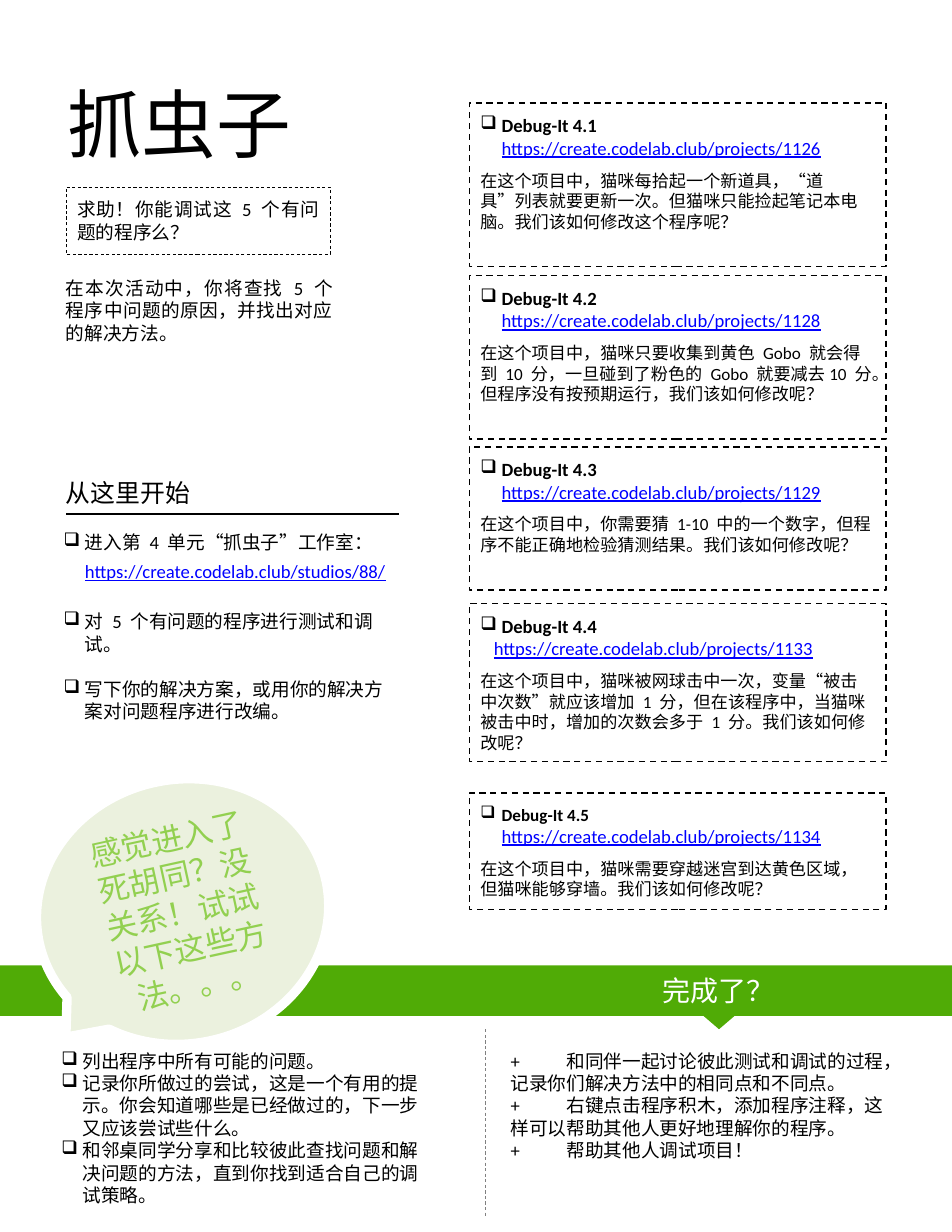
import pptx
import pptx.dml.color
import pptx.enum.dml
import pptx.enum.shapes
import pptx.enum.text
import pptx.oxml.ns
import pptx.util
from lxml import etree

SHAPES = pptx.enum.shapes.MSO_SHAPE
ALIGN = pptx.enum.text.PP_ALIGN
ANCHOR = pptx.enum.text.MSO_ANCHOR
DASH = pptx.enum.dml.MSO_LINE.DASH
qn = pptx.oxml.ns.qn

# The page is a grid of 85 columns by 110 rows
COLUMNS, ROWS = 85, 110
CELL = pptx.util.Inches(0.1)
CARD_COLUMN, CARD_WIDTH = 41.9, 37.2
HANG = 1.9
GREEN = "50AB06"
LINK = {"color": "0000FF", "underline": True}
BOLD = {"bold": True}

DEBUG_URL = "https://create.codelab.club/projects/"
# number, row, height, heading size, project, question
CARDS = [
    ("4.1", 9.2, 14.6, 12, "1126",
     "在这个项目中，猫咪每拾起一个新道具，“道具”列表就要更新一次。但猫咪只能捡起笔记本电脑。我们该如何修改这个程序呢？"),
    ("4.2", 24.6, 14.6, 12, "1128",
     "在这个项目中，猫咪只要收集到黄色 Gobo 就会得到 10 分，一旦碰到了粉色的 Gobo 就要减去10 分。但程序没有按预期运行，我们该如何修改呢？"),
    ("4.3", 39.9, 12.8, 12, "1129",
     "在这个项目中，你需要猜 1-10 中的一个数字，但程序不能正确地检验猜测结果。我们该如何修改呢？"),
    ("4.4", 53.9, 14.1, 12, "1133",
     "在这个项目中，猫咪被网球击中一次，变量“被击中次数”就应该增加 1 分，但在该程序中，当猫咪被击中时，增加的次数会多于 1 分。我们该如何修改呢？"),
    ("4.5", 70.8, 10.4, 11, "1134",
     "在这个项目中，猫咪需要穿越迷宫到达黄色区域，但猫咪能够穿墙。我们该如何修改呢？"),
]
TIPS = [
    "列出程序中所有可能的问题。",
    "记录你所做过的尝试，这是一个有用的提示。你会知道哪些是已经做过的，下一步又应该尝试些什么。",
    "和邻桌同学分享和比较彼此查找问题和解决问题的方法，直到你找到适合自己的调试策略。",
]
NEXT_STEPS = [
    "和同伴一起讨论彼此测试和调试的过程，记录你们解决方法中的相同点和不同点。",
    "右键点击程序积木，添加程序注释，这样可以帮助其他人更好地理解你的程序。",
    "帮助其他人调试项目！",
]


def grid(*cells):
    return [round(cell * CELL) for cell in cells]


def rgb(value):
    return pptx.dml.color.RGBColor.from_string(value)


def apply(target, values):
    for name, value in values.items():
        setattr(target, name, value)


def style_line(line, color, width, dash=None):
    line.color.rgb = rgb(color)
    apply(line, {"width": pptx.util.Pt(width), "dash_style": dash})


def indent(paragraph, left, first=0, bullet=None, tab=None):
    """Set margins in grid columns, with an optional bullet or tab stop."""
    properties = paragraph._p.get_or_add_pPr()
    for name, cells in (("marL", left), ("indent", first)):
        properties.set(name, str(grid(cells)[0]))
    if bullet:
        etree.SubElement(properties, qn("a:buChar"), char=bullet)
    if tab:
        tabs = etree.SubElement(properties, qn("a:tabLst"))
        etree.SubElement(tabs, qn("a:tab"), pos=str(grid(tab)[0]), algn="l")


def checkbox(paragraph):
    indent(paragraph, HANG, -HANG, "❑")


def add_run(paragraph, text, size=12, color="000000", **values):
    run = paragraph.add_run()
    run.text = text
    apply(run.font, {"name": "Calibri", "size": pptx.util.Pt(size), **values})
    run.font.color.rgb = rgb(color)


def next_paragraph(frame, **values):
    """Return the empty first paragraph, or a new one after the text."""
    first = frame.paragraphs[0]
    paragraph = frame.add_paragraph() if first.runs else first
    apply(paragraph, {"alignment": ALIGN.LEFT, **values})
    return paragraph


def add_text(slide, cells, text="", size=12, color="000000", alignment=ALIGN.LEFT):
    frame = slide.shapes.add_textbox(*grid(*cells)).text_frame
    frame.word_wrap = True
    if text:
        add_run(next_paragraph(frame, alignment=alignment), text, size, color)
    return frame


def add_block(slide, kind, cells, fill=None):
    shape = slide.shapes.add_shape(kind, *grid(*cells))
    shape.shadow.inherit = False
    if fill:
        shape.fill.solid()
        shape.fill.fore_color.rgb = rgb(fill)
    else:
        shape.fill.background()
    shape.line.fill.background()
    return shape


def add_dashed_box(slide, cells, width, anchor):
    box = add_block(slide, SHAPES.RECTANGLE, cells)
    style_line(box.line, "000000", width, DASH)
    sides = ("left", "top", "right", "bottom")
    apply(box.text_frame, {"word_wrap": True, "vertical_anchor": anchor,
                           **{f"margin_{side}": CELL for side in sides}})
    return box.text_frame


def add_rule(slide, start, end, color, width, dash=None):
    rule = slide.shapes.add_connector(
        pptx.enum.shapes.MSO_CONNECTOR.STRAIGHT, *grid(*start, *end))
    style_line(rule.line, color, width, dash)
    etree.SubElement(rule._element.spPr, qn("a:effectLst"))


def add_card(slide, number, row, height, size, project, question):
    frame = add_dashed_box(slide, (CARD_COLUMN, row, CARD_WIDTH, height), 1, ANCHOR.TOP)
    heading = next_paragraph(frame)
    checkbox(heading)
    if number == "4.4":
        add_run(heading, f"Debug-It {number}", size, **BOLD)
        heading = next_paragraph(frame)
        indent(heading, 1.2)
    else:
        add_run(heading, f"Debug-It {number} ", size, **BOLD)
    add_run(heading, DEBUG_URL + project, **LINK)
    add_run(next_paragraph(frame, space_before=pptx.util.Pt(7)), question, 11)


def add_intro(slide):
    add_text(slide, (5, 6.5, 30.8, 9.1), "抓虫子", 48)
    frame = add_dashed_box(slide, (5.9, 16.7, 23.6, 6), 0.5, ANCHOR.MIDDLE)
    add_run(next_paragraph(frame, alignment=ALIGN.JUSTIFY), "求助！你能调试这 5 个有问题的程序么？")
    add_text(slide, (4.9, 24.2, 25.8, 7.1),
             "在本次活动中，你将查找 5 个程序中问题的原因，并找出对应的解决方法。",
             alignment=ALIGN.JUSTIFY)


def add_start(slide):
    add_text(slide, (4.9, 42.2, 32.3, 3.7), "从这里开始", 16)
    add_rule(slide, (5.9, 45.9), (35.6, 45.9), "000000", 0.75)
    frame = add_text(slide, (4.7, 46.3, 31.1, 19.6))
    studio = next_paragraph(frame, line_spacing=1.3)
    checkbox(studio)
    add_run(studio, "进入第 4 单元“抓虫子”工作室：")
    studio.add_line_break()
    add_run(studio, "https://create.codelab.club/studios/88/", **LINK)
    for text, gap in (("对 5 个有问题的程序进行测试和调试。", 18),
                      ("写下你的解决方案，或用你的解决方案对问题程序进行改编。", 14.5)):
        step = next_paragraph(frame, space_before=pptx.util.Pt(gap))
        checkbox(step)
        add_run(step, text)


def add_footer_lists(slide):
    tips = add_text(slide, (4.5, 93.2, 35.3, 15.1))
    for text in TIPS:
        paragraph = next_paragraph(tips)
        checkbox(paragraph)
        add_run(paragraph, text)
    next_steps = add_text(slide, (44.6, 93.2, 36.2, 11.1))
    for text in NEXT_STEPS:
        paragraph = next_paragraph(next_steps)
        indent(paragraph, 0, tab=HANG)
        add_run(paragraph, "+\t" + text)
    add_rule(slide, (43.3, 91.9), (43.3, 108.6), "808080", 0.5, DASH)


def add_callout(slide):
    callout = add_block(slide, SHAPES.OVAL_CALLOUT, (4.5, 68.3, 23.6, 26.2), "EBF1DE")
    style_line(callout.line, "FFFFFF", 6)
    callout.adjustments[0], callout.adjustments[1] = -0.37, 0.48
    callout.rotation = 257.7
    callout._element.spPr.find(qn("a:xfrm")).set("flipV", "1")
    frame = callout.text_frame
    frame._txBody.find(qn("a:bodyPr")).set("vert", "vert270")
    apply(frame, {"word_wrap": True, "vertical_anchor": ANCHOR.MIDDLE})
    add_run(next_paragraph(frame, alignment=ALIGN.CENTER),
            "感觉进入了死胡同？没关系！试试以下这些方法。。。", 20, "92D050")


def add_band(slide):
    add_block(slide, SHAPES.RECTANGLE, (0, 86.2, COLUMNS, 4.5), GREEN)
    add_block(slide, SHAPES.DIAMOND, (62.1, 88.3, 4.2, 3.6), GREEN)
    add_text(slide, (43.3, 86.4, 41.7, 4), "完成了？", 18, "FFFFFF", ALIGN.CENTER)


def main():
    presentation = pptx.Presentation()
    presentation.slide_width, presentation.slide_height = grid(COLUMNS, ROWS)
    slide = presentation.slides.add_slide(presentation.slide_layouts[6])
    add_intro(slide)
    add_footer_lists(slide)
    for card in CARDS:
        add_card(slide, *card)
    add_start(slide)
    add_band(slide)
    add_callout(slide)
    presentation.save("out.pptx")


if __name__ == "__main__":
    main()
